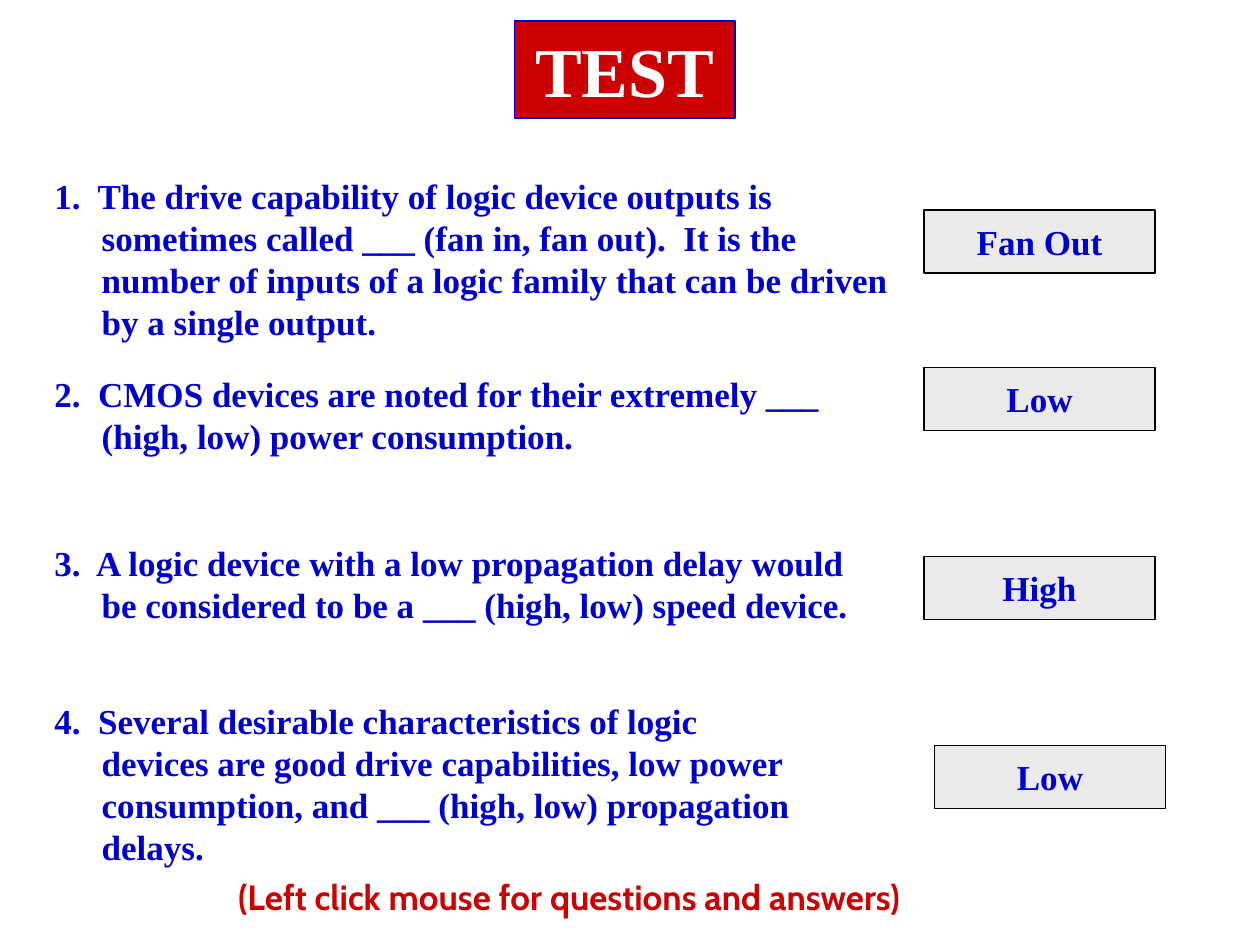
import pptx
import pptx.dml.color
import pptx.enum.shapes
import pptx.enum.text
import pptx.util
from dataclasses import dataclass

Pt = pptx.util.Pt
Align = pptx.enum.text.PP_ALIGN
Anchor = pptx.enum.text.MSO_ANCHOR


@dataclass(frozen=True)
class Theme:
    blue: str = "0000CC"
    red: str = "CC0000"
    white: str = "FFFFFF"
    black: str = "000000"
    answer_fill: str = "EAEAEA"
    serif: str = "Times New Roman"
    sans: str = "Cabin"
    title_size: int = 40
    text_size: int = 20
    outline: float = 0.75


@dataclass(frozen=True)
class Area:
    left: float
    top: float
    width: float
    height: float

    def lengths(self) -> tuple:
        return Pt(self.left), Pt(self.top), Pt(self.width), Pt(self.height)


@dataclass(frozen=True)
class Question:
    text: str
    area: Area
    answer: str
    answer_area: Area


THEME = Theme()
HANGING = 27
TITLE_AREA = Area(294, 12, 126, 55.5)
HINT_AREA = Area(129, 497, 459, 31.5)

QUESTIONS = [
    Question(
        "1.  The drive capability of logic device outputs is sometimes called ___ "
        "(fan in, fan out).  It is the number of inputs of a logic family that can "
        "be driven by a single output.",
        Area(24, 96, 492, 103.5), "Fan Out", Area(528, 120, 132, 36)),
    Question(
        "2.  CMOS devices are noted for their extremely ___ (high, low) power "
        "consumption.",
        Area(24, 209.5, 468, 55.5), "Low", Area(528, 210, 132, 36)),
    Question(
        "3.  A logic device with a low propagation delay would be considered to be "
        "a ___ (high, low) speed device.",
        Area(24, 306, 468, 79.5), "High", Area(528, 318, 132, 36)),
    Question(
        "4.  Several desirable characteristics of logic devices are good drive "
        "capabilities, low power consumption, and ___ (high, low) propagation delays.",
        Area(24, 396, 444, 103.5), "Low", Area(534, 426, 132, 36)),
]


def color(value: str) -> pptx.dml.color.RGBColor:
    return pptx.dml.color.RGBColor.from_string(value)


def write(box, text: str, ink: str, size: int = THEME.text_size,
          font: str = THEME.serif, align=Align.LEFT, anchor=Anchor.TOP,
          wrap: bool = True):
    """Put one bold run in a box and return its paragraph."""
    frame = box.text_frame
    frame.auto_size = pptx.enum.text.MSO_AUTO_SIZE.NONE
    frame.word_wrap = wrap
    frame.vertical_anchor = anchor
    para = frame.paragraphs[0]
    para.alignment = align
    span = para.add_run()
    span.text = text
    span.font.name = font
    span.font.size = Pt(size)
    span.font.bold = True
    span.font.color.rgb = color(ink)
    return para


def paint(box, fill: str, line: str) -> None:
    box.fill.solid()
    box.fill.fore_color.rgb = color(fill)
    box.line.color.rgb = color(line)
    box.line.width = Pt(THEME.outline)


def add_title(page, text: str) -> None:
    box = page.shapes.title
    box.left, box.top, box.width, box.height = TITLE_AREA.lengths()
    paint(box, THEME.red, THEME.blue)
    write(box, text, THEME.white, THEME.title_size,
          align=Align.CENTER, anchor=Anchor.BOTTOM)


def add_question(page, question: Question) -> None:
    box = page.shapes.add_textbox(*question.area.lengths())
    para = write(box, question.text, THEME.blue)
    # Hanging indent keeps the wrapped lines clear of the number
    properties = para._p.get_or_add_pPr()
    properties.set("marL", str(Pt(HANGING)))
    properties.set("indent", str(-Pt(HANGING)))


def add_answer(page, question: Question) -> None:
    box = page.shapes.add_shape(pptx.enum.shapes.MSO_SHAPE.RECTANGLE,
                                *question.answer_area.lengths())
    box.shadow.inherit = False
    paint(box, THEME.answer_fill, THEME.black)
    write(box, question.answer, THEME.blue, align=Align.CENTER,
          anchor=Anchor.MIDDLE, wrap=False)


def main() -> None:
    deck = pptx.Presentation()
    deck.slide_width, deck.slide_height = Pt(720), Pt(540)
    page = deck.slides.add_slide(deck.slide_layouts.get_by_name("Title Only"))

    # Heading
    add_title(page, "TEST")

    # Questions with their answers
    for question in QUESTIONS:
        add_question(page, question)
        add_answer(page, question)

    # Hint at the foot of the page
    hint = page.shapes.add_textbox(*HINT_AREA.lengths())
    write(hint, "(Left click mouse for questions and answers)", THEME.red,
          font=THEME.sans, wrap=False)

    deck.save("out.pptx")


if __name__ == "__main__":
    main()
